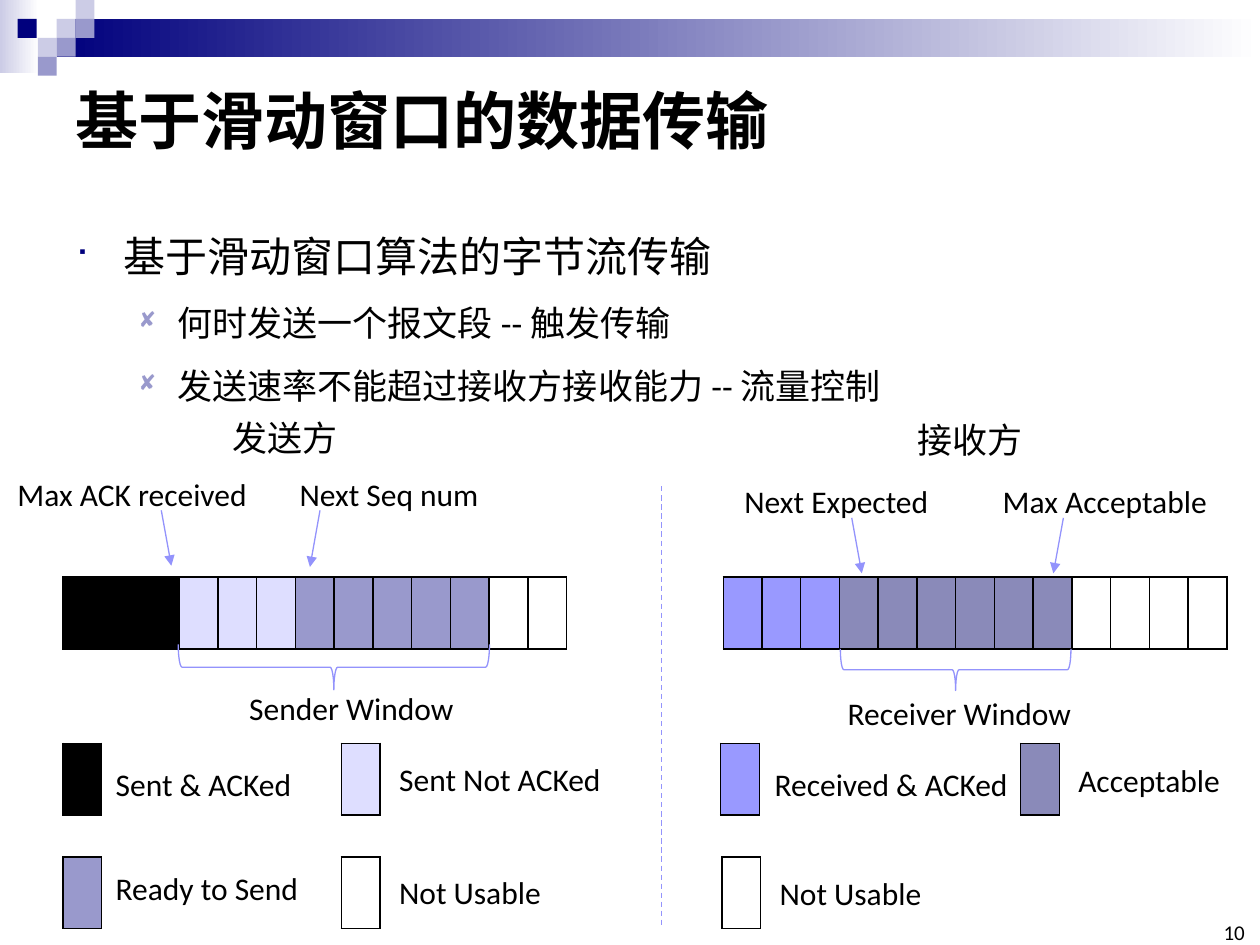
"""Build a slide on sliding-window data transfer."""
from lxml import etree
from pptx import Presentation
from pptx.dml.color import RGBColor
from pptx.enum.dml import MSO_LINE
from pptx.enum.shapes import MSO_CONNECTOR, MSO_SHAPE
from pptx.enum.text import MSO_ANCHOR, PP_ALIGN
from pptx.oxml.ns import qn
from pptx.util import Inches, Pt

RECT, BRACE = MSO_SHAPE.RECTANGLE, MSO_SHAPE.LEFT_BRACE
STRAIGHT, DASH = MSO_CONNECTOR.STRAIGHT, MSO_LINE.DASH
TOP, MIDDLE, BOTTOM = MSO_ANCHOR.TOP, MSO_ANCHOR.MIDDLE, MSO_ANCHOR.BOTTOM
LEFT, RIGHT = PP_ALIGN.LEFT, PP_ALIGN.RIGHT

BLACK = RGBColor(0x00, 0x00, 0x00)
WHITE = RGBColor(0xFF, 0xFF, 0xFF)
NAVY = RGBColor(0x00, 0x00, 0x7D)
MIST = RGBColor(0xCC, 0xCC, 0xE6)
LILAC = RGBColor(0x99, 0x99, 0xCC)
PALE = RGBColor(0xDE, 0xDE, 0xFF)
BLUE = RGBColor(0x99, 0x99, 0xFF)
SLATE = RGBColor(0x8A, 0x8A, 0xB9)
LINE = RGBColor(0x93, 0x93, 0xFC)
LATIN, HAN = "Calibri", "Noto Sans CJK SC"

deck = Presentation()
deck.slide_width, deck.slide_height = Inches(10), Inches(7.5)
slide = deck.slides.add_slide(deck.slide_layouts[6])
shapes = slide.shapes


def text(words, left, top, width, height=0.4, size=18, font=LATIN, bold=False,
         align=LEFT, anchor=TOP, wrap=False, pad=None):
    box = shapes.add_textbox(Inches(left), Inches(top), Inches(width), Inches(height))
    frame = box.text_frame
    frame.word_wrap, frame.vertical_anchor = wrap, anchor
    if pad is not None:
        frame.margin_left = frame.margin_right = Inches(pad)
        frame.margin_top = frame.margin_bottom = Inches(pad)
    frame.text = words
    for para in frame.paragraphs:
        para.alignment = align
        face = para.runs[0].font
        face.size, face.name, face.bold = Pt(size), font, bold
        face.color.rgb = BLACK
        etree.SubElement(face._element, qn("a:ea"), typeface=HAN)
    return frame.paragraphs


def cells(left, top, fills):
    width = Inches(4 / 13)
    frame = shapes.add_table(1, len(fills), Inches(left), Inches(top),
                             width * len(fills), Inches(0.57))
    table = frame.table
    for col, fill in enumerate(fills):
        table.columns[col].width = width
        cell = table.cell(0, col)
        props = cell._tc.get_or_add_tcPr()
        for side in ("a:lnL", "a:lnR", "a:lnT", "a:lnB"):
            edge = etree.SubElement(props, qn(side), w=str(Pt(1)))
            paint = etree.SubElement(edge, qn("a:solidFill"))
            etree.SubElement(paint, qn("a:srgbClr"), val=str(BLACK))
        cell.fill.solid()
        cell.fill.fore_color.rgb = fill


for left, top, width, height, tint, fade in [
    (0, 0, 0.31, 0.58, MIST, True),
    (0.45, 0.15, 9.55, 0.3, NAVY, True),
    (0.45, 0.15, 0.15, 0.15, MIST, False),
    (0.6, 0, 0.15, 0.15, MIST, False),
    (0.6, 0.15, 0.15, 0.15, LILAC, False),
    (0.3, 0.3, 0.15, 0.15, MIST, False),
    (0.14, 0.15, 0.15, 0.15, NAVY, False),
    (0.45, 0.3, 0.15, 0.15, LILAC, False),
    (0.3, 0.45, 0.15, 0.15, LILAC, False),
]:
    block = shapes.add_shape(RECT, Inches(left), Inches(top), Inches(width), Inches(height))
    block.shadow.inherit = False
    block.line.fill.background()
    if fade:
        block.fill.gradient()
        block.fill.gradient_angle = 0
        for stop, shade in zip(block.fill.gradient_stops, (tint, WHITE)):
            stop.color.rgb = shade
    else:
        block.fill.solid()
        block.fill.fore_color.rgb = tint

text("基于滑动窗口的数据传输", 0.5, 0.5, 9, 0.89, size=36, bold=True, anchor=MIDDLE, wrap=True)

points = text("基于滑动窗口算法的字节流传输\n何时发送一个报文段 -- 触发传输\n"
              "发送速率不能超过接收方接收能力 -- 流量控制", 0.5, 1.58, 9, 1.9, wrap=True)
main = (0, 24, 0.38, 0.38, NAVY, 75, "■")
sub = (1, 20, 0.81, 0.31, LILAC, 80, "◻")
for para, style in zip(points, (main, sub, sub)):
    level, size, indent, hang, tint, scale, mark = style
    para.level, para.line_spacing = level, 1.5
    para.runs[0].font.size = Pt(size)
    props = para._p.get_or_add_pPr()
    props.set("marL", str(Inches(indent)))
    props.set("indent", str(-Inches(hang)))
    paint = etree.SubElement(props, qn("a:buClr"))
    etree.SubElement(paint, qn("a:srgbClr"), val=str(tint))
    etree.SubElement(props, qn("a:buSzPct"), val=str(scale * 1000))
    etree.SubElement(props, qn("a:buFont"), typeface="Wingdings", charset="2")
    etree.SubElement(props, qn("a:buChar"), char=mark)

cells(0.5, 4.58, [BLACK] * 3 + [PALE] * 3 + [LILAC] * 5 + [WHITE] * 2)
cells(5.74, 4.58, [BLUE] * 3 + [SLATE] * 6 + [WHITE] * 4)
for left, top, fill in [
    (0.5, 5.9, BLACK), (2.71, 5.9, PALE), (0.5, 6.8, LILAC), (2.71, 6.8, WHITE),
    (5.72, 5.9, BLUE), (8.1, 5.9, SLATE), (5.73, 6.8, WHITE),
]:
    cells(left, top, [fill])

for words, left, top, width in [
    ("Max ACK received", 0.04, 3.72, 2.04),
    ("Next Seq num", 2.28, 3.72, 1.64),
    ("Sender Window", 1.88, 5.42, 1.84),
    ("Sent & ACKed", 0.82, 6.02, 1.61),
    ("Sent Not ACKed", 3.07, 5.98, 1.82),
    ("Ready to Send", 0.82, 6.85, 1.67),
    ("Not Usable", 3.07, 6.88, 1.34),
    ("Next Expected", 5.81, 3.78, 1.68),
    ("Max Acceptable", 7.86, 3.78, 1.84),
    ("Receiver Window", 6.63, 5.46, 2),
    ("Received & ACKed", 6.05, 6.02, 2.07),
    ("Acceptable", 8.46, 5.99, 1.34),
    ("Not Usable", 6.09, 6.89, 1.34),
]:
    text(words, left, top, width)

text("发送方", 1.75, 3.26, 1.04, 0.44, size=20, font=HAN)
text("接收方", 7.18, 3.27, 1.04, 0.44, size=20, font=HAN)
text("10", 9.65, 7.33, 0.23, 0.17, size=12, align=RIGHT, anchor=BOTTOM, wrap=True, pad=0)

for left, top, width, height in [(2.47, 4.06, 0.36, 2.47), (7.42, 4.4, 0.33, 1.83)]:
    brace = shapes.add_shape(BRACE, Inches(left), Inches(top), Inches(width), Inches(height))
    brace.rotation = 270
    brace.shadow.inherit = False
    brace.fill.background()
    brace.line.color.rgb, brace.line.width = LINE, Pt(0.75)

for left, top, right, low, arrow in [
    (1.28, 4.05, 1.36, 4.49, True),
    (2.54, 4.05, 2.46, 4.5, True),
    (6.76, 4.11, 6.84, 4.55, True),
    (8.44, 4.11, 8.36, 4.55, True),
    (5.25, 3.86, 5.25, 7.36, False),
]:
    line = shapes.add_connector(STRAIGHT, Inches(left), Inches(top), Inches(right), Inches(low))
    line.line.color.rgb, line.line.width = LINE, Pt(0.75)
    if arrow:
        etree.SubElement(line.line._get_or_add_ln(), qn("a:tailEnd"), type="triangle")
    else:
        line.line.dash_style = DASH
    etree.SubElement(line._element.spPr, qn("a:effectLst"))

deck.save("out.pptx")
